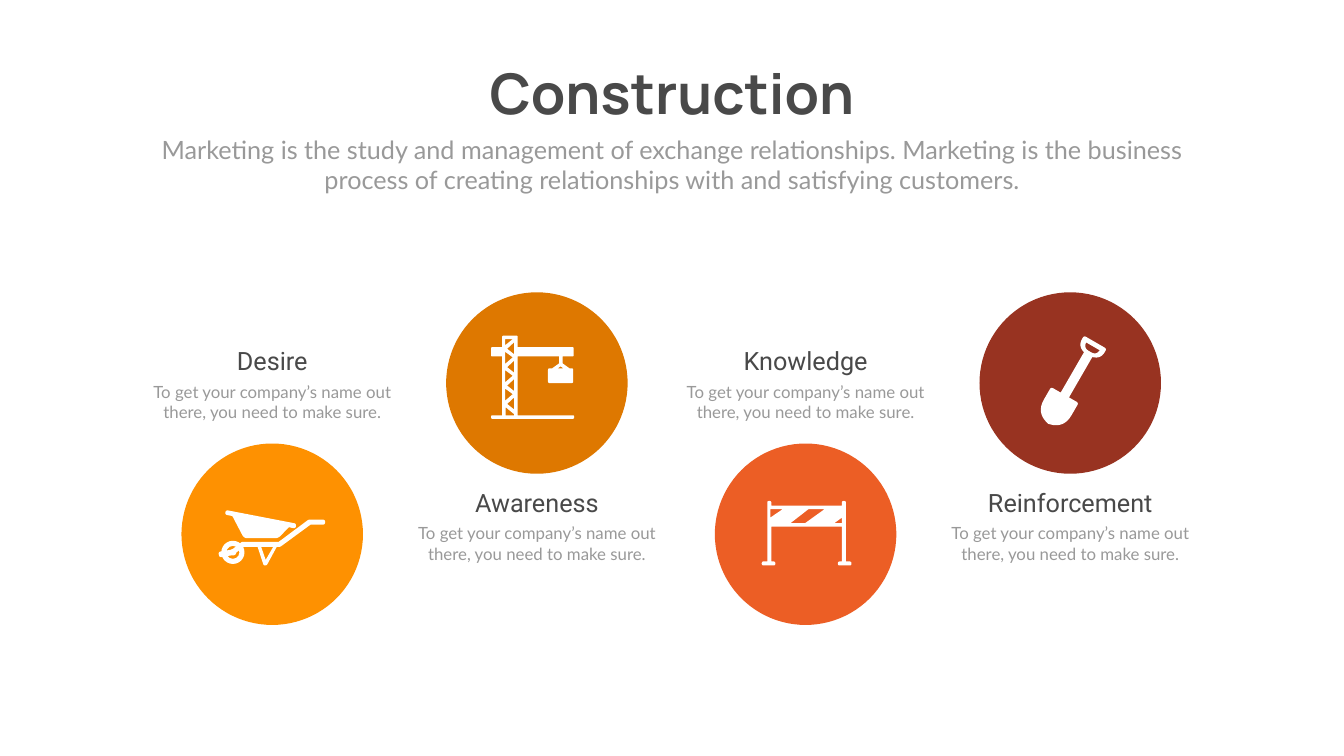
from dataclasses import dataclass
from math import hypot
from typing import NamedTuple

from pptx import Presentation
from pptx.dml.color import RGBColor
from pptx.enum.shapes import MSO_SHAPE
from pptx.enum.text import PP_ALIGN
from pptx.util import Inches, Pt

OVAL, DONUT = MSO_SHAPE.OVAL, MSO_SHAPE.DONUT
CENTER = PP_ALIGN.CENTER
DARK, GREY, WHITE = "494949", "999999", "FFFFFF"

# Grid in inches: columns come in pairs, steps alternate low and high
FIRST_X, STEP_X, PAIR_X = 5.4, 5.25, 10.58
CIRCLE = 3.6
CIRCLE_Y = {"low": 10.6, "high": 7.6}
TITLE_Y = {"low": 6.81, "high": 9.62}
TITLE_ROW = 0.71
BODY = "To get your company’s name out there, you need to make sure."


class Corner(NamedTuple):
    """Outline corner in hundredths of an inch, rounded by r."""
    x: float
    y: float
    r: float = 0


@dataclass
class Step:
    title: str
    color: str
    level: str
    icon: list
    dx: float = 0
    rotation: float = 0
    title_w: float = 3.26
    title_h: float = TITLE_ROW


def mirror(half: list) -> list:
    """Complete a right half whose first and last corners lie on the axis."""
    return half + [(-c[0], *c[1:]) for c in reversed(half[1:-1])]


def rounded(corners: list) -> list:
    """Replace each rounded corner by points on a quadratic curve."""
    cs = [Corner(*c) for c in corners]
    points = []
    for i, c in enumerate(cs):
        if not c.r:
            points.append((c.x, c.y))
            continue
        ends = []
        for n in (cs[i - 1], cs[(i + 1) % len(cs)]):
            share = c.r / hypot(n.x - c.x, n.y - c.y)
            ends.append((c.x + (n.x - c.x) * share, c.y + (n.y - c.y) * share))
        (ax, ay), (bx, by) = ends
        for t in (k / 8 for k in range(9)):
            a, m, b = (1 - t) ** 2, 2 * t * (1 - t), t * t
            points.append((a * ax + m * c.x + b * bx, a * ay + m * c.y + b * by))
    return points


def paint(shape, color: str) -> None:
    shape.shadow.inherit = False
    shape.fill.solid()
    shape.fill.fore_color.rgb = RGBColor.from_string(color)
    shape.line.fill.background()


def add_round(s, kind, cx: float, cy: float, size: float, color: str):
    shape = s.shapes.add_shape(kind, Inches(cx - size / 2), Inches(cy - size / 2),
                               Inches(size), Inches(size))
    paint(shape, color)
    return shape


def add_outline(s, contours: list, cx: float, cy: float, rotation: float) -> None:
    """Draw closed contours as one shape; inner contours become holes."""
    fb = None
    for contour in contours:
        start, *rest = [(Inches(x / 100), Inches(y / 100)) for x, y in rounded(contour)]
        if fb is None:
            fb = s.shapes.build_freeform(*start)
        else:
            fb.move_to(*start)
        fb.add_line_segments(rest, close=True)
    shape = fb.convert_to_shape(Inches(cx), Inches(cy))
    paint(shape, WHITE)
    shape.rotation = rotation


def add_text(s, text: str, cx: float, top: float, w: float, h: float, font: str,
             size: float, color: str, bold: bool = False, wrap: bool = True) -> None:
    tf = s.shapes.add_textbox(Inches(cx - w / 2), Inches(top), Inches(w), Inches(h)).text_frame
    tf.word_wrap = wrap
    p = tf.paragraphs[0]
    p.alignment = CENTER
    r = p.add_run()
    r.text = text
    r.font.name, r.font.size, r.font.bold = font, Pt(size), bold
    r.font.color.rgb = RGBColor.from_string(color)


# Icons: lists of shapes, each a list of contours around the icon's centre
BARROW_FRAME = [
    [(105, -29, 5), (72, -29, 3), (13, 15), (-60, 15, 2), (-78, 29), (-83, 31, 2),
     (-107, 35, 5), (-105, 46, 5), (-81, 42), (-73, 42, 5), (-71, 36), (-56, 25),
     (-29, 25), (-17, 62, 3), (-11, 62, 3), (9, 25), (16, 25, 2), (76, -19), (105, -19, 5)],
    [(-13, 51), (-22, 25), (2, 25)],
]
BARROW_TRAY = [
    [(48, -21, 5), (-92, -48, 5), (-94, -39, 5), (-79, -36), (-56, 8, 7), (12, 8, 7),
     (33, -14), (46, -11, 5)],
]

LATTICE = 36.5
CRANE = [
    [(73, -53, 2), (73, -71, 2), (-38, -71), (-38, -94, 3), (-69, -94, 3), (-69, -71),
     (-91, -71, 2), (-91, -53, 2), (-69, -53), (-69, 64), (-91, 64, 3), (-91, 71, 3),
     (74, 71, 3), (74, 64, 3), (-38, 64), (-38, -53), (44, -53), (44, -39), (30, -29),
     (22, -29, 3), (22, 0, 3), (72, 0, 3), (72, -29, 3), (65, -29), (51, -39), (51, -53)],
    [(-63, -87), (-48, -87), (-63, -75)],
    [(-45, 64), (-62, 64), (-62, 48), (-45, 62)],
    [(53, -29), (41, -29), (47, -33)],
]
CRANE += [[(-63, y - 62), (-48, y - 51), (-63, y - 38)]
          for y in (k * LATTICE for k in range(3))]
CRANE += [[(-45, y - 57), (-59, y - 68), (-45, y - 81)]
          for y in (k * LATTICE for k in range(4))]

BARRIER = [
    mirror([(0, -57), (70, -57), (70, -66, 3.5), (78, -66, 3.5), (78, 54), (89, 54, 4),
            (89, 62, 4), (62, 62, 4), (62, 54, 4), (70, 54), (70, -15), (0, -15)]),
    [(-32, -22), (4, -50), (36, -50), (-3, -22)],
    [(-47, -50), (-72, -33), (-72, -50)],
    [(55, -22), (70, -33), (70, -22)],
]

SHOVEL = [
    mirror([(0, -93.5), (26, -93.5, 5), (26, -70, 16), (9.5, -65), (9.5, 27.5),
            (31.5, 27.5, 5), (31.5, 86, 30), (0, 93.5)]),
    mirror([(0, -84), (15.6, -84), (14, -72, 11), (0, -72)]),
]

STEPS = [
    Step("Desire", "FE9101", "low", [BARROW_FRAME, BARROW_TRAY]),
    Step("Awareness", "DE7800", "high", [CRANE]),
    Step("Knowledge", "EC5E25", "low", [BARRIER], dx=0.02),
    Step("Reinforcement", "983321", "high", [SHOVEL], dx=0.03, rotation=30,
         title_w=4.78, title_h=1.62),
]


def main() -> None:
    prs = Presentation()
    prs.slide_width, prs.slide_height = Inches(26.66), Inches(15)
    s = prs.slides.add_slide(prs.slide_layouts[6])

    # Heading
    mid = 26.66 / 2
    add_text(s, "Construction", mid, 1.12, 7.78, 1.45, "Manrope", 80, DARK,
             bold=True, wrap=False)
    add_text(s, "Marketing is the study and management of exchange relationships. "
             "Marketing is the business process of creating relationships with and "
             "satisfying customers.", mid, 2.61, 20.82, 1.31, "Lato", 36, GREY)

    # Steps: circle, texts, icon
    for i, step in enumerate(STEPS):
        cx = FIRST_X + PAIR_X * (i // 2) + STEP_X * (i % 2)
        cy, top = CIRCLE_Y[step.level], TITLE_Y[step.level]
        add_round(s, OVAL, cx, cy, CIRCLE, step.color)
        add_text(s, BODY, cx, top + TITLE_ROW, 5.13, 0.91, "Lato", 24, GREY)
        add_text(s, step.title, cx, top, step.title_w, step.title_h, "Roboto", 36, DARK)
        for contours in step.icon:
            add_outline(s, contours, cx + step.dx, cy, step.rotation)

    # Wheel of the barrow
    wheel = add_round(s, DONUT, FIRST_X - 0.78, CIRCLE_Y["low"] + 0.36, 0.46, WHITE)
    wheel.adjustments[0] = 0.22

    prs.save("out.pptx")


if __name__ == "__main__":
    main()
